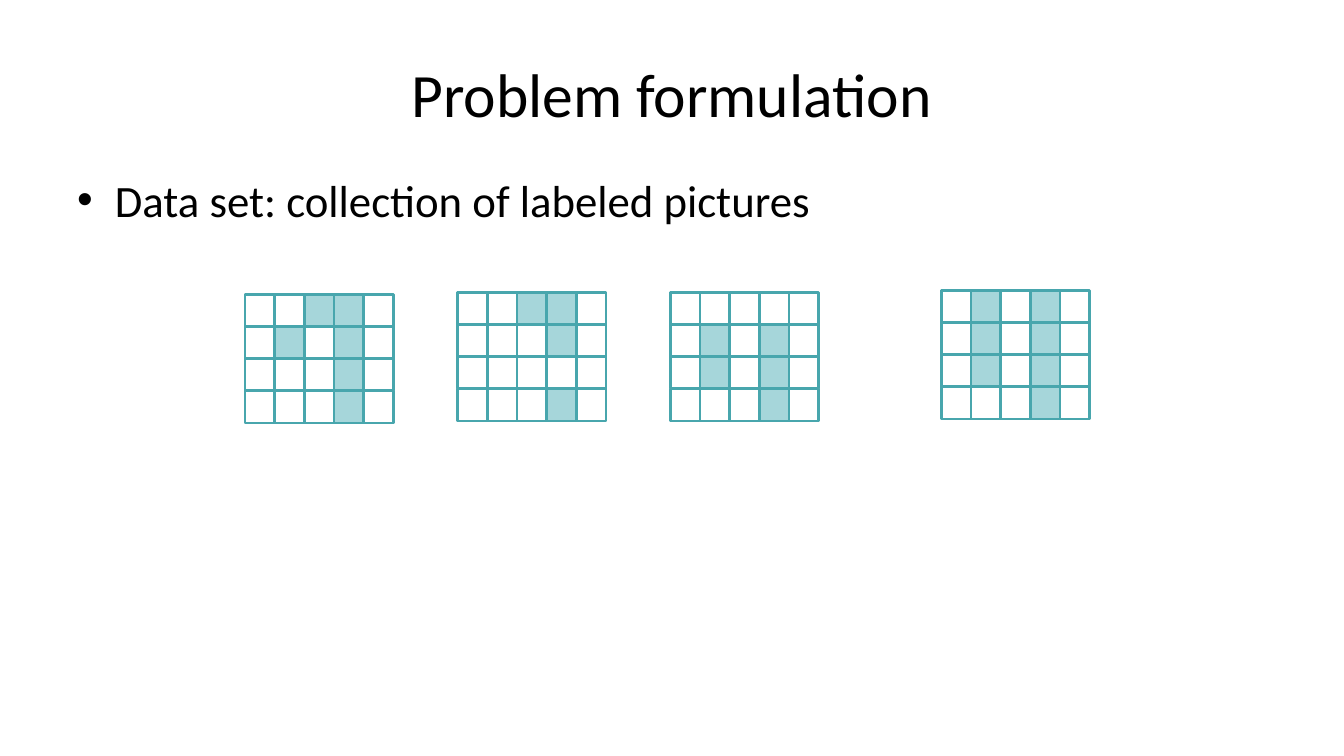
from lxml.etree import SubElement
from pptx import Presentation
from pptx.dml.color import RGBColor
from pptx.enum.shapes import MSO_SHAPE
from pptx.enum.text import MSO_ANCHOR, PP_ALIGN
from pptx.oxml.ns import qn
from pptx.util import Pt

BLACK = RGBColor(0x00, 0x00, 0x00)
TEAL = RGBColor(0x48, 0xA6, 0xAD)
PALE = RGBColor(0xA6, 0xD6, 0xDA)

CELL_W, CELL_H = 21.2, 23

# Left, top and rows of each digit; "#" marks an inked cell
DIGITS = [
    (175, 210.24, ("..##.", ".#.#.", "...#.", "...#.")),
    (326.9, 208.8, ("..##.", "...#.", ".....", "...#.")),
    (478.8, 208.8, (".....", ".#.#.", ".#.#.", "...#.")),
    (672.4, 207.36, (".#.#.", ".#.#.", ".#.#.", "...#.")),
]


def add_text(slide, top, height, text, size, anchor):
    box = slide.shapes.add_textbox(Pt(48), Pt(top), Pt(864), Pt(height))
    frame = box.text_frame
    frame.word_wrap = True
    frame.vertical_anchor = anchor
    para = frame.paragraphs[0]
    run = para.add_run()
    run.text = text
    run.font.size = Pt(size)
    run.font.name = "Calibri"
    run.font.color.rgb = BLACK
    return para


def add_bullet(para, indent):
    props = para._p.get_or_add_pPr()
    props.set("marL", str(Pt(indent)))
    props.set("indent", str(-Pt(indent)))
    SubElement(props, qn("a:buFont")).set("typeface", "Arial")
    SubElement(props, qn("a:buChar")).set("char", "•")


def add_cell(group, left, top, inked):
    cell = group.shapes.add_shape(
        MSO_SHAPE.RECTANGLE, Pt(left), Pt(top), Pt(CELL_W), Pt(CELL_H))
    cell.shadow.inherit = False
    cell.line.color.rgb = TEAL
    cell.line.width = Pt(2)
    if inked:
        cell.fill.solid()
        cell.fill.fore_color.rgb = PALE
    else:
        cell.fill.background()


def add_digit(slide, left, top, rows):
    group = slide.shapes.add_group_shape()
    for i, row in enumerate(rows):
        for j, mark in enumerate(row):
            add_cell(group, left + j * CELL_W, top + i * CELL_H, mark == "#")


def main():
    deck = Presentation()
    deck.slide_width, deck.slide_height = Pt(960), Pt(540)
    slide = deck.slides.add_slide(deck.slide_layouts[6])

    # Title
    title = add_text(slide, 21.6, 90, "Problem formulation", 44,
                     MSO_ANCHOR.MIDDLE)
    title.alignment = PP_ALIGN.CENTER

    # Bullet
    point = add_text(slide, 119.5, 356.4,
                     "Data set: collection of labeled pictures", 32,
                     MSO_ANCHOR.TOP)
    add_bullet(point, 27)

    # Pixel digits
    for left, top, rows in DIGITS:
        add_digit(slide, left, top, rows)

    deck.save("out.pptx")


if __name__ == "__main__":
    main()
